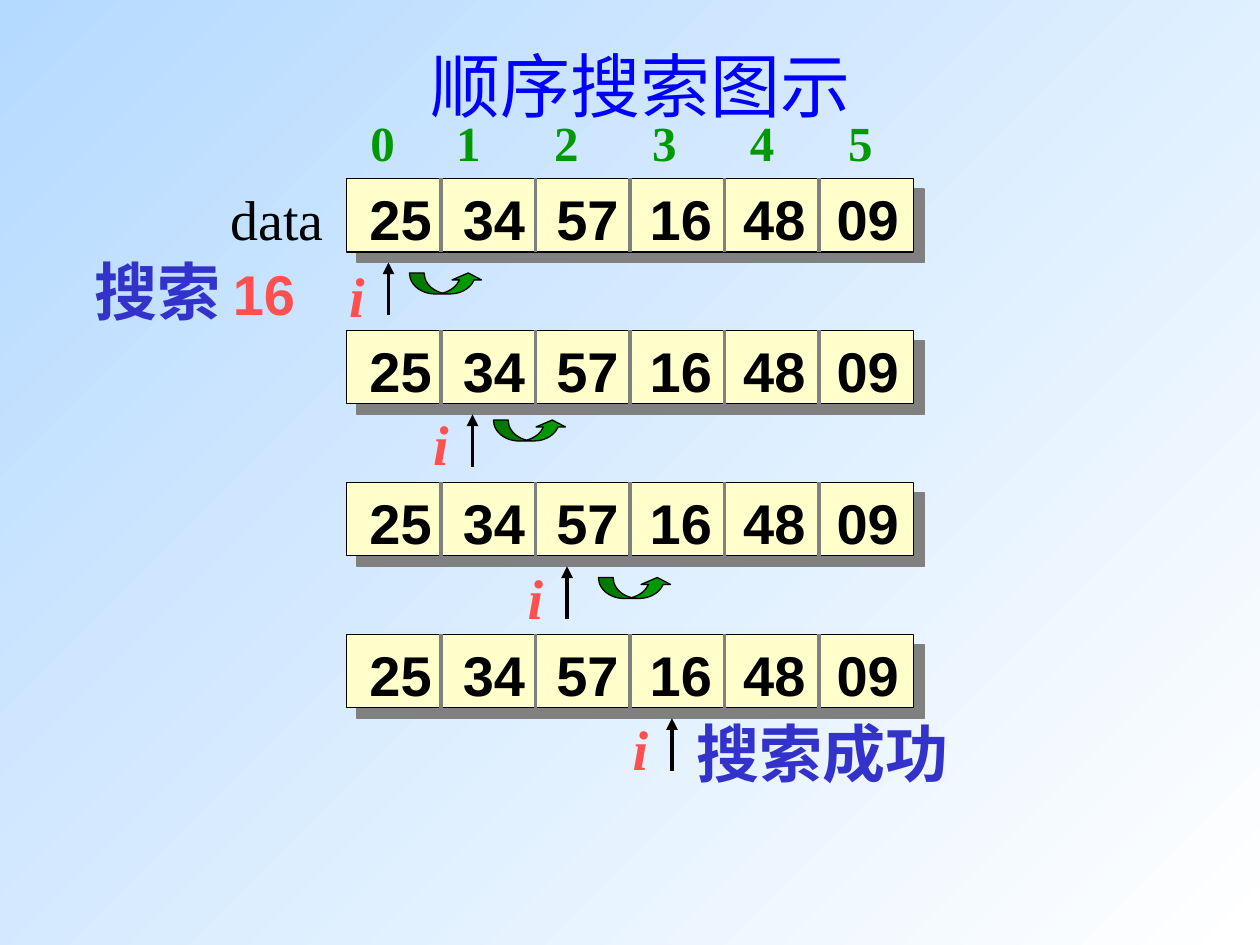
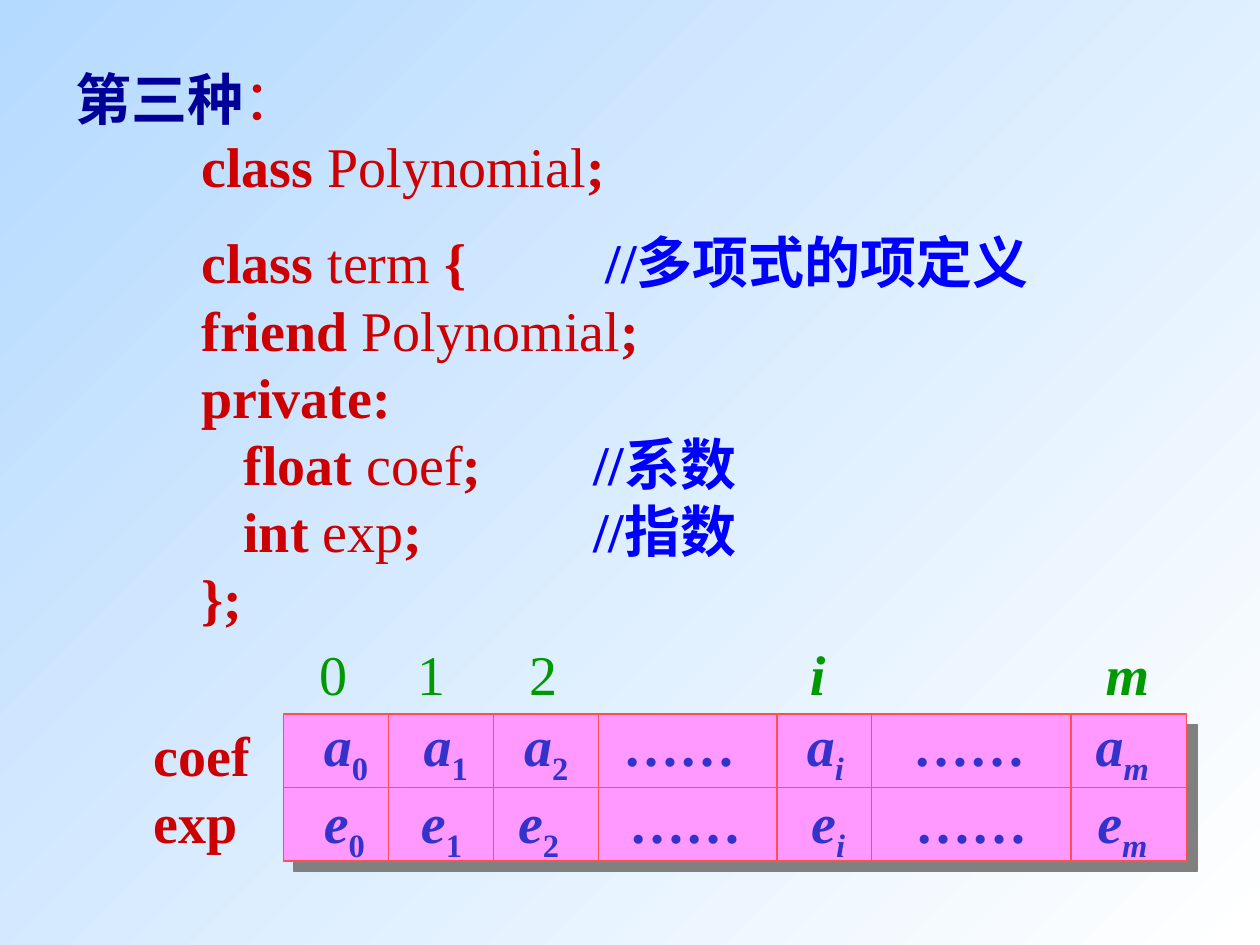
from lxml.etree import SubElement
from pptx import Presentation
from pptx.dml.color import RGBColor
from pptx.enum.shapes import MSO_CONNECTOR, MSO_SHAPE
from pptx.enum.text import MSO_ANCHOR, MSO_AUTO_SIZE, PP_ALIGN
from pptx.oxml.ns import qn
from pptx.util import Pt

COLORS = {
    "sky": "B5DAFF", "white": "FFFFFF", "black": "000000", "gray": "808080",
    "blue": "0000FF", "navy": "000099", "violet": "3333CC", "green": "009900",
    "red": "CC0000", "coral": "FF5050", "cream": "FFFFCC", "pink": "FF99FF",
}
RGB = {name: RGBColor.from_string(value) for name, value in COLORS.items()}
SERIF, SANS = "Times New Roman", "Arial"

prs = Presentation()
prs.slide_width, prs.slide_height = Pt(720), Pt(540)

fill = prs.slide_master.background.fill
fill.gradient()
fill.gradient_angle = 315
for stop, name in zip(fill.gradient_stops, ("sky", "white")):
    stop.color.rgb = RGB[name]


def write(sp, box, lines, size=32, color="black", tabs=(), pitch=None,
          align=PP_ALIGN.LEFT, anchor=MSO_ANCHOR.TOP, **base):
    """Place sp at box and fill it; a line is a list of (text, format) runs."""
    sp.left, sp.top, sp.width, sp.height = map(Pt, box)
    tf = sp.text_frame
    tf.word_wrap, tf.auto_size, tf.vertical_anchor = True, MSO_AUTO_SIZE.NONE, anchor
    for n, line in enumerate(lines):
        p = tf.paragraphs[0] if n == 0 else tf.add_paragraph()
        p.alignment, p.line_spacing = align, Pt(pitch or size * 1.2)
        p.space_before = Pt(0)
        stops = tabs[n] if tabs else ()
        if stops:
            tab_list = SubElement(p._p.get_or_add_pPr(), qn("a:tabLst"))
            for pos in stops:
                SubElement(tab_list, qn("a:tab"), pos=str(Pt(pos)), algn="l")
        for text, changes in line:
            fmt = {"name": SERIF, "size": size, "color": color, "bold": False,
                   **base, **changes}
            r = p.add_run()
            r.text = text
            r.font.color.rgb = RGB[fmt.pop("color")]
            if fmt.pop("sub", False):
                r.font._element.set("baseline", "-25000")
            fmt["size"] = Pt(fmt["size"])
            for key, value in fmt.items():
                setattr(r.font, key, value)
    return tf


def add_line(shapes, x1, y1, x2, y2, color, width, arrow=False):
    line = shapes.add_connector(MSO_CONNECTOR.STRAIGHT, *map(Pt, (x1, y1, x2, y2)))
    line.line.color.rgb, line.line.width = RGB[color], Pt(width)
    if arrow:
        SubElement(line.line._get_or_add_ln(), qn("a:tailEnd"), type="triangle")
    SubElement(line._element.spPr, qn("a:effectLst"))
    return line


def_box = (0, 0, 10, 10)
BOLD, PLAIN = {"bold": True}, {}

# Slide 1: sequential search
slide = prs.slides.add_slide(prs.slide_layouts[5])
shapes = slide.shapes
write(shapes.title, (198, 18, 336, 60), [[("顺序搜索图示", PLAIN)]], 40, "blue",
      align=PP_ALIGN.CENTER, anchor=MSO_ANCHOR.MIDDLE)

ARRAY_LEFT, ARRAY_TOP, ROW_PITCH = 198, 102, 86.8
CELL_W, CELL_H = 54, 42
VALUES = ["25", "34", "57", "16", "48", "09"]
value_tabs = [53.4 * n for n in range(1, len(VALUES))]
# x of the arrow, drop of the label i, place of the jump relative to the arrow
STEPS = [(222, 44, (12, 54)), (270, 41.6, (12, 51.2)),
         (324, 42.6, (18, 54.4)), (384, 42.2, None)]


def add_panel(shapes, box, color, line_color):
    """Add a thin-lined rectangle with a hard shadow to the lower right."""
    sp = shapes.add_shape(MSO_SHAPE.RECTANGLE, *map(Pt, box))
    sp.fill.solid()
    sp.fill.fore_color.rgb = RGB[color]
    sp.line.color.rgb, sp.line.width = RGB[line_color], Pt(0.75)
    sp.shadow.inherit = False
    effects = sp._element.spPr.find(qn("a:effectLst"))
    shadow = SubElement(effects, qn("a:outerShdw"), dist=str(Pt(8.5)),
                        dir="2700000", algn="ctr", rotWithShape="0")
    SubElement(shadow, qn("a:srgbClr"), val=COLORS["gray"])
    return sp


for row, (arrow_x, label_drop, jump) in enumerate(STEPS):
    top = ARRAY_TOP + row * ROW_PITCH
    add_panel(shapes, (ARRAY_LEFT, top, CELL_W * len(VALUES), CELL_H), "cream", "black")
    write(shapes.add_textbox(*def_box), (ARRAY_LEFT + 6, top, 324, 46),
          [[("\t".join(VALUES), PLAIN)]], tabs=[value_tabs], name=SANS, bold=True)
    for n in range(1, len(VALUES)):
        x = ARRAY_LEFT + n * CELL_W
        add_line(shapes, x, top, x, top + CELL_H, "gray", 2.25)
    add_line(shapes, arrow_x, top + 78, arrow_x, top + 48, "black", 2.25, arrow=True)
    write(shapes.add_textbox(*def_box), (arrow_x - 29.6, top + label_drop, 24, 46),
          [[("i", PLAIN)]], color="coral", bold=True, italic=True)
    if jump:
        sp = shapes.add_shape(MSO_SHAPE.CURVED_UP_ARROW, Pt(arrow_x + jump[0]),
                              Pt(top + jump[1]), Pt(42), Pt(12))
        for n, value in enumerate((0.7, 1.4, 0.33)):
            sp.adjustments[n] = value
        sp.fill.solid()
        sp.fill.fore_color.rgb = RGB["green"]
        sp.line.color.rgb, sp.line.width = RGB["black"], Pt(0.75)
        sp.shadow.inherit = False

write(shapes.add_textbox(*def_box), (204.5, 61, 312, 41),
      [[("\t".join("012345"), PLAIN)]], 28, "green",
      tabs=[[49 + 56 * n for n in range(5)]], bold=True)
write(shapes.add_textbox(*def_box), (124.5, 102, 72, 46), [[("data", PLAIN)]])
write(shapes.add_textbox(*def_box), (46.8, 141, 150, 50),
      [[("搜索", {"size": 36, "color": "violet", "bold": True}), (" ", PLAIN),
        ("16", {"name": SANS, "bold": True})]], color="coral", pitch=43.2)
write(shapes.add_textbox(*def_box), (391, 404.6, 164, 50),
      [[("搜索成功", PLAIN)]], 36, "violet", bold=True)

# Slide 2: polynomial term class
slide = prs.slides.add_slide(prs.slide_layouts[5])
shapes = slide.shapes
write(shapes.title, (36, 33, 300, 46),
      [[("第三种", {"color": "navy", "bold": True}), ("：", PLAIN)]], color="red")

NOTE = {"color": "blue", "bold": True}
code = [
    [("class ", BOLD), ("Polynomial", PLAIN), (";", BOLD)],
    [("class ", BOLD), ("term ", PLAIN), ("{\t", BOLD), ("//多项式的项定义", NOTE)],
    [("friend ", BOLD), ("Polynomial", PLAIN), (";", BOLD)],
    [("private:", BOLD)],
    [("   ", PLAIN), ("float ", BOLD), ("coef", PLAIN), (";\t", BOLD), ("//系数", NOTE)],
    [("   ", PLAIN), ("int", BOLD), (" exp", PLAIN), (";\t", BOLD), ("//指数", NOTE)],
    [("};", BOLD)],
]
tf = write(shapes.add_textbox(*def_box), (108, 71.5, 612, 293), code, color="red",
           tabs=[(), (231,), (), (), (224,), (224,), ()])
tf.paragraphs[1].space_before = Pt(16.8)

LEFT, TOP, WIDTH, HEIGHT = 162, 408, 516, 84
table = add_panel(shapes, (LEFT, TOP, WIDTH, HEIGHT), "pink", "coral")
for x in (222, 282, 342, 444, 498, 612):
    add_line(shapes, x, TOP, x, TOP + HEIGHT, "coral", 0.75)
middle = add_line(shapes, LEFT, TOP + HEIGHT / 2, LEFT + WIDTH, TOP + HEIGHT / 2,
                  "coral", 0.75)
middle.begin_connect(table, 1)
middle.end_connect(table, 3)

term_rows = []
for letter in "ae":
    line = []
    for n, index in enumerate(["0", "1", "2", None, "i", None, "m"]):
        if n:
            line.append(("\t", PLAIN))
        if index:
            line += [(letter, {"italic": True}),
                     (index, {"italic": index.isalpha(), "sub": True})]
        else:
            line.append(("……", PLAIN))
    term_rows.append(line)
write(shapes.add_textbox(*def_box), (178, 402, 504, 95), term_rows, color="violet",
      tabs=[(57, 114.5, 171.5, 276, 337, 441), (55.5, 111, 174.5, 278.5, 338, 442)],
      pitch=44, bold=True)
write(shapes.add_textbox(*def_box), (80.6, 408, 75, 84),
      [[("coef", PLAIN)], [("exp", PLAIN)]], color="red", bold=True)
write(shapes.add_textbox(*def_box), (175.7, 362, 500, 46),
      [[("0\t1\t2\t", PLAIN), ("i\tm", {"bold": True, "italic": True})]],
      color="green", tabs=[(56, 120, 280, 449)])

prs.save("out.pptx")
